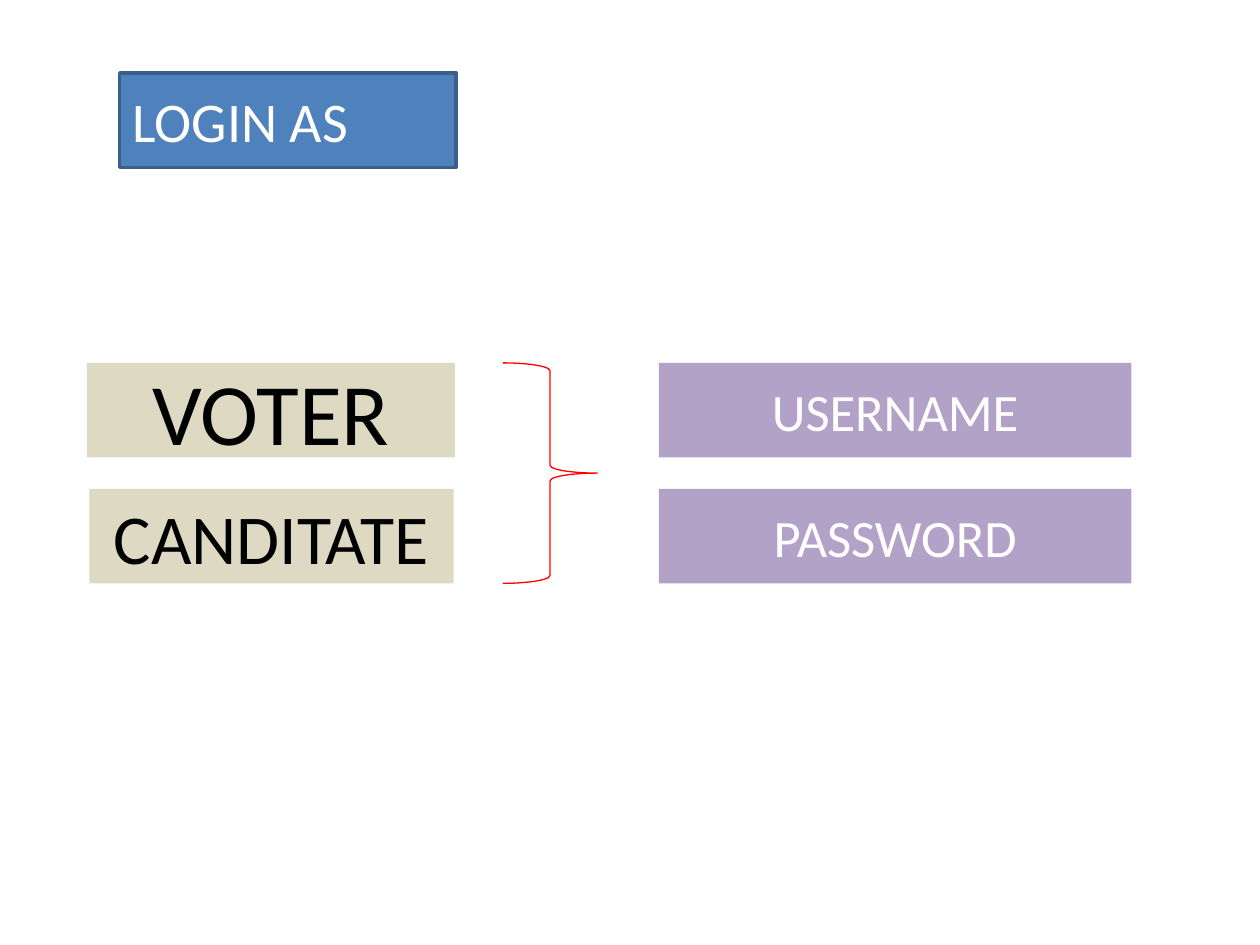
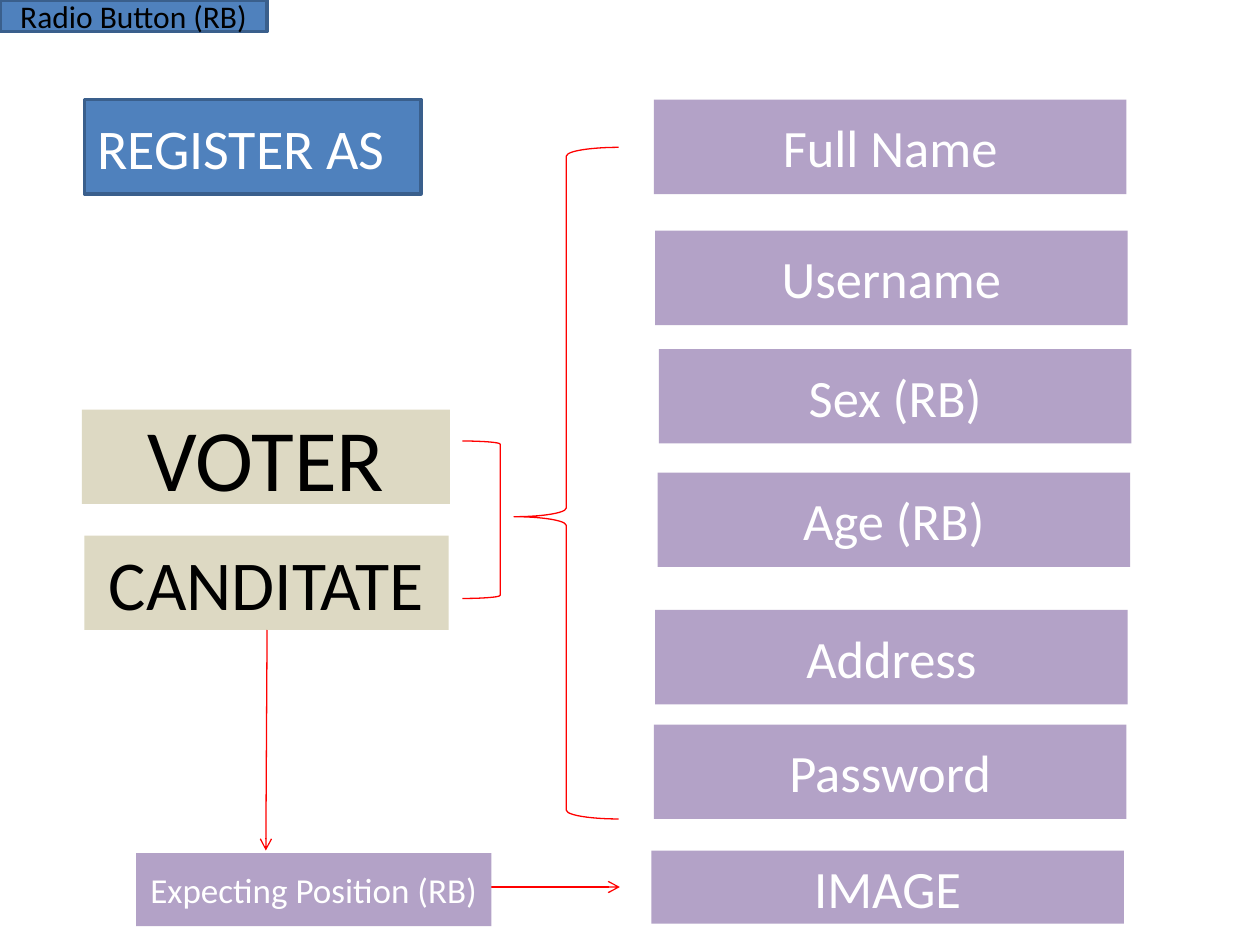
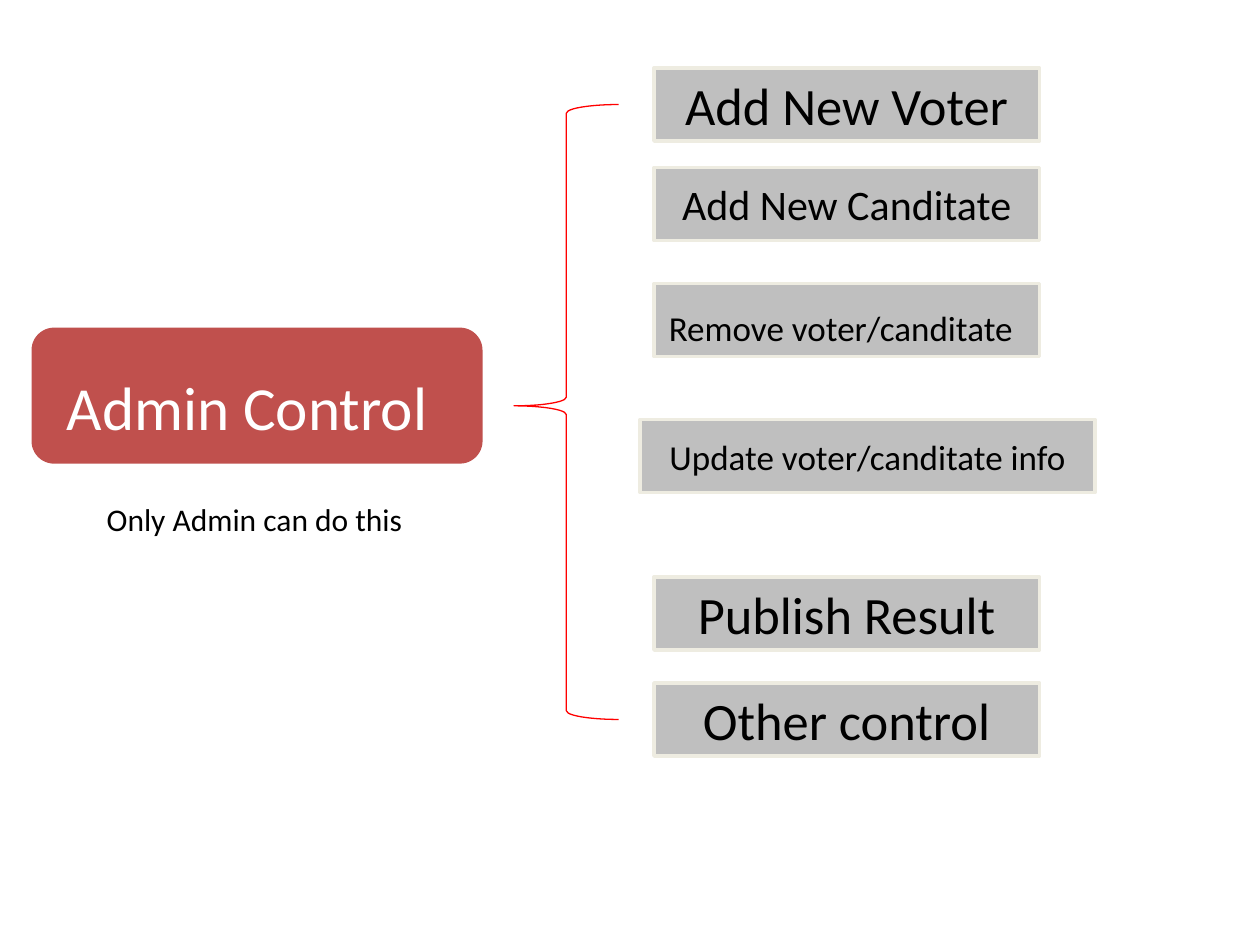
from dataclasses import dataclass

from lxml import etree
from pptx import Presentation
from pptx.dml.color import RGBColor
from pptx.enum.shapes import MSO_CONNECTOR, MSO_SHAPE
from pptx.enum.text import MSO_ANCHOR, MSO_AUTO_SIZE, PP_ALIGN
from pptx.oxml.ns import qn
from pptx.util import Inches, Pt

RECTANGLE = MSO_SHAPE.RECTANGLE
ROUNDED = MSO_SHAPE.ROUNDED_RECTANGLE
LEFT_BRACE = MSO_SHAPE.LEFT_BRACE
RIGHT_BRACE = MSO_SHAPE.RIGHT_BRACE
RIGHT_BRACKET = MSO_SHAPE.RIGHT_BRACKET
STRAIGHT = MSO_CONNECTOR.STRAIGHT
MIDDLE = MSO_ANCHOR.MIDDLE
NO_AUTOFIT = MSO_AUTO_SIZE.NONE
LEFT = PP_ALIGN.LEFT
CENTER = PP_ALIGN.CENTER

TITLE_ONLY = 5
BLANK = 6


@dataclass(frozen=True)
class BoxStyle:
    fill: str
    text: str
    line: str = ""


@dataclass(frozen=True)
class Theme:
    font: str = "Calibri"
    connection: str = "FF0000"
    thin: float = 0.75
    border: float = 2
    huge: int = 50
    role: int = 40
    admin: int = 35
    title: int = 32
    field: int = 30
    medium: int = 24
    small: int = 20
    note: int = 18
    heading_box: BoxStyle = BoxStyle("4F81BD", "FFFFFF", "3A5F8C")
    legend_box: BoxStyle = BoxStyle("4F81BD", "000000", "3A5F8C")
    role_box: BoxStyle = BoxStyle("DDD9C3", "000000")
    field_box: BoxStyle = BoxStyle("B3A2C7", "FFFFFF")
    action_box: BoxStyle = BoxStyle("BFBFBF", "000000", "EEECE1")
    admin_box: BoxStyle = BoxStyle("C0504D", "FFFFFF")
    note_box: BoxStyle = BoxStyle("FFFFFF", "000000")


THEME = Theme()


def set_attributes(target, values):
    for name, value in values.items():
        setattr(target, name, value)


def paint(shape, style):
    shape.fill.solid()
    shape.fill.fore_color.rgb = RGBColor.from_string(style.fill)
    if style.line:
        draw_line(shape.line, style.line, THEME.border)
    else:
        shape.line.fill.background()


def draw_line(line, color, width):
    line.fill.solid()
    line.fill.fore_color.rgb = RGBColor.from_string(color)
    line.width = Pt(width)


def write(shape, runs, color, alignment=CENTER):
    set_attributes(shape.text_frame, {
        "word_wrap": True,
        "auto_size": NO_AUTOFIT,
        "vertical_anchor": MIDDLE,
    })
    paragraph = shape.text_frame.paragraphs[0]
    paragraph.alignment = alignment
    for text, size in runs:
        run = paragraph.add_run()
        run.text = text
        set_attributes(run.font, {"name": THEME.font, "size": Pt(size)})
        run.font.color.rgb = RGBColor.from_string(color)


def add_plain_shape(slide, kind, place):
    shape = slide.shapes.add_shape(kind, *map(Inches, place))
    shape.shadow.inherit = False
    return shape


def add_box(slide, place, style, *runs, kind=RECTANGLE):
    shape = add_plain_shape(slide, kind, place)
    paint(shape, style)
    write(shape, runs, style.text)


def add_bracket(slide, kind, place, tip=None):
    shape = add_plain_shape(slide, kind, place)
    shape.fill.background()
    draw_line(shape.line, THEME.connection, THEME.thin)
    if tip is not None:
        shape.adjustments[1] = tip


def add_arrow(slide, start, end):
    connector = slide.shapes.add_connector(STRAIGHT, *map(Inches, start + end))
    draw_line(connector.line, THEME.connection, THEME.thin)
    properties = connector.line._get_or_add_ln()
    etree.SubElement(properties, qn("a:tailEnd"), type="arrow")
    etree.SubElement(properties.getparent(), qn("a:effectLst"))


def set_title(slide, text, left, top):
    title = slide.shapes.title
    set_attributes(title, {
        "left": Inches(left),
        "top": Inches(top),
        "width": Inches(2.67),
        "height": Inches(0.75),
    })
    paint(title, THEME.heading_box)
    write(title, [(text, THEME.title)], THEME.heading_box.text, LEFT)


def add_roles(slide, left, top):
    add_box(slide, (left, top, 2.92, 0.75), THEME.role_box, ("VOTER", THEME.huge))
    add_box(slide, (left + 0.02, top + 1, 2.89, 0.75), THEME.role_box,
            ("CANDITATE", THEME.role))


def add_field(slide, text, left, top, height=0.75):
    add_box(slide, (left, top, 3.75, height), THEME.field_box, (text, THEME.field))


def add_action(slide, top, *runs, left=5.19, width=3.06):
    add_box(slide, (left, top, width, 0.58), THEME.action_box, *runs)


def add_slide(presentation, layout):
    return presentation.slides.add_slide(presentation.slide_layouts[layout])


def build_login(presentation):
    slide = add_slide(presentation, TITLE_ONLY)
    set_title(slide, "LOGIN AS", 0.95, 0.58)
    add_roles(slide, 0.69, 2.88)
    add_bracket(slide, RIGHT_BRACE, (3.99, 2.88, 0.75, 1.75))
    for row, text in enumerate(("USERNAME", "PASSWORD")):
        add_field(slide, text, 5.23, 2.88 + row)


def build_registration(presentation):
    slide = add_slide(presentation, TITLE_ONLY)
    set_title(slide, "REGISTER AS", 0.67, 0.79)
    add_roles(slide, 0.65, 3.25)
    fields = (
        ("Full Name", 5.19, 0.79),
        ("Username", 5.2, 1.83),
        ("Sex (RB)", 5.23, 2.77),
        ("Age (RB)", 5.22, 3.75),
        ("Address", 5.2, 4.84),
        ("Password", 5.19, 5.75),
        ("IMAGE", 5.17, 6.75, 0.58),
    )
    for field in fields:
        add_field(slide, *field)
    add_bracket(slide, RIGHT_BRACKET, (3.67, 3.5, 0.3, 1.25))
    add_bracket(slide, LEFT_BRACE, (4.08, 1.17, 0.83, 5.33), tip=0.55)
    add_arrow(slide, (1.83, 7.04), (4.92, 7.04))
    add_box(slide, (1.08, 6.77, 2.82, 0.58), THEME.field_box,
            ("Expecting Position (RB)", THEME.small))
    add_arrow(slide, (2.12, 5), (2.11, 6.75))
    add_box(slide, (0, 0, 2.12, 0.25), THEME.legend_box,
            ("Radio Button (RB)", THEME.note))


def build_admin(presentation):
    slide = add_slide(presentation, BLANK)
    add_box(slide, (0.25, 2.6, 3.58, 1.08), THEME.admin_box,
            ("Admin Control", THEME.admin), (" ", THEME.huge), kind=ROUNDED)
    add_action(slide, 0.54, ("Add New Voter", THEME.field))
    add_action(slide, 1.33, ("Add New Canditate", THEME.medium))
    add_action(slide, 2.25, ("Remove voter/canditate", THEME.small),
               (" ", THEME.field))
    add_action(slide, 3.33, ("Update voter/canditate info", THEME.small),
               left=5.08, width=3.61)
    add_action(slide, 4.58, ("Publish Result", THEME.field))
    add_action(slide, 5.42, ("Other control", THEME.field))
    add_bracket(slide, LEFT_BRACE, (4.08, 0.83, 0.83, 4.88), tip=0.49)
    add_box(slide, (0.27, 3.91, 3.5, 0.42), THEME.note_box,
            ("Only Admin can do this", THEME.note))


def main():
    presentation = Presentation()
    set_attributes(presentation, {
        "slide_width": Inches(10),
        "slide_height": Inches(7.5),
    })
    build_login(presentation)
    build_registration(presentation)
    build_admin(presentation)
    presentation.save("out.pptx")


if __name__ == "__main__":
    main()
